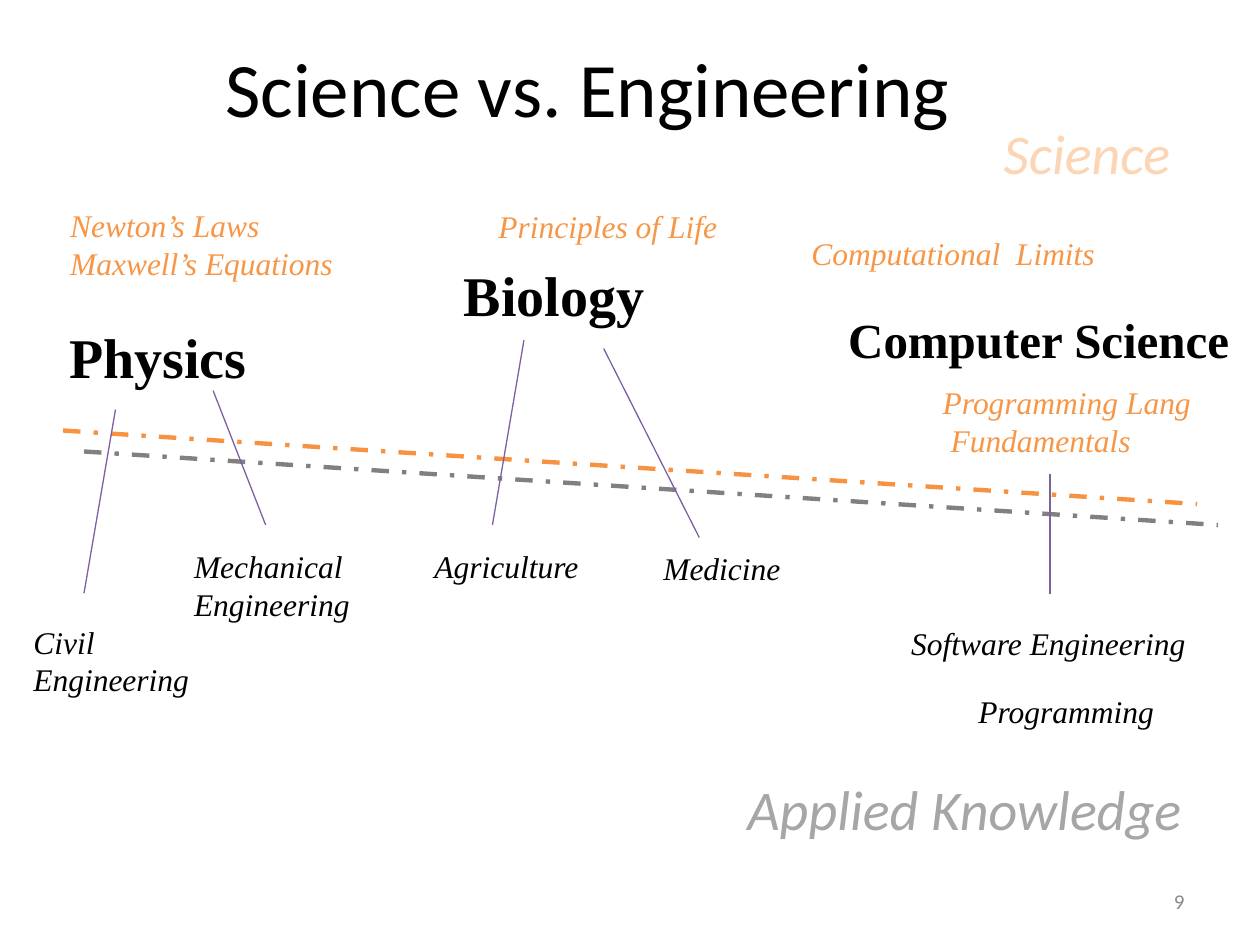
from typing import NamedTuple

import lxml.etree
import pptx
import pptx.dml.color
import pptx.enum.dml
import pptx.enum.shapes
import pptx.enum.text
import pptx.oxml.ns
import pptx.util

WIDTH = pptx.util.Inches(10)
HEIGHT = pptx.util.Inches(7.5)
COLUMNS, ROWS = 120, 90

COLORS = {
    "ink": "000000",
    "orange": "F79646",
    "pale_orange": "FCD5B5",
    "science_line": "F69240",
    "applied_line": "808080",
    "applied": "A6A6A6",
    "link": "7D60A0",
    "number": "898989",
}
ALIGN = pptx.enum.text.PP_ALIGN
ANCHOR = pptx.enum.text.MSO_ANCHOR
DASH = pptx.enum.dml.MSO_LINE.DASH_DOT


class Box(NamedTuple):
    column: float
    row: float
    columns: float
    rows: float


class Label(NamedTuple):
    text: str
    box: Box
    color: str = "ink"


class Field(NamedTuple):
    text: str
    box: Box
    size: int


class Line(NamedTuple):
    start: tuple[float, float]
    end: tuple[float, float]
    color: str = "link"
    width: float = 0.75
    dashed: bool = False


FIELDS = [
    Field("Physics", Box(5.4, 30.1, 19.4, 7.7), 32),
    Field("Biology", Box(43, 24.2, 19.8, 7.7), 32),
    Field("Computer Science", Box(79.6, 28.9, 39.1, 6.8), 28),
]
REALMS = [
    Label("Science", Box(94.4, 10.7, 19, 7.7), "pale_orange"),
    Label("Applied Knowledge", Box(70, 73.2, 63.1, 7.7), "applied"),
]
TOPICS = [
    Label("Newton’s Laws\nMaxwell’s Equations", Box(5.5, 19, 27.7, 8.5), "orange"),
    Label("Principles of Life", Box(46.3, 19.1, 24.2, 4.8), "orange"),
    Label("Computational  Limits", Box(76.1, 21.7, 29.6, 4.8), "orange"),
    Label("Programming Lang\n Fundamentals", Box(88.6, 35.9, 26.3, 8.5), "orange"),
    Label("Civil\nEngineering", Box(2, 58.7, 17.4, 8.5)),
    Label("Mechanical\nEngineering", Box(17.3, 51.5, 17.4, 8.5)),
    Label("Agriculture", Box(40.2, 51.5, 16.3, 4.8)),
    Label("Medicine", Box(62, 51.7, 13.7, 4.8)),
    Label("Software Engineering", Box(85.6, 58.8, 28.8, 4.8)),
    Label("Programming", Box(92, 65.3, 19.3, 4.8)),
]
DIVIDERS = [
    Line((6, 41), (114, 48), "science_line", 2.5, True),
    Line((8, 43), (116, 50), "applied_line", 2.5, True),
]
LINKS = [
    Line((11, 39), (8, 56.5)),
    Line((57.5, 33.2), (66.6, 51.2)),
    Line((20.3, 37.2), (25.3, 50)),
    Line((49.9, 32.4), (46.9, 50)),
    Line((100, 45.1), (100, 56.6)),
]


def across(columns: float) -> int:
    return round(WIDTH * columns / COLUMNS)


def down(rows: float) -> int:
    return round(HEIGHT * rows / ROWS)


def color_of(name: str) -> pptx.dml.color.RGBColor:
    return pptx.dml.color.RGBColor.from_string(COLORS[name])


def add_text(slide, text: str, box: Box, *, size: int = 18,
             font: str = "Times New Roman", color: str = "ink",
             bold: bool = False, italic: bool = False, wrap: bool = False,
             align=ALIGN.LEFT, anchor=ANCHOR.TOP) -> None:
    shape = slide.shapes.add_textbox(across(box.column), down(box.row),
                                     across(box.columns), down(box.rows))
    frame = shape.text_frame
    frame.word_wrap = wrap
    frame.vertical_anchor = anchor
    frame.text = text
    for paragraph in frame.paragraphs:
        paragraph.alignment = align
        for run in paragraph.runs:
            run.font.name = font
            run.font.size = pptx.util.Pt(size)
            run.font.bold = bold
            run.font.italic = italic
            run.font.color.rgb = color_of(color)


def add_line(slide, line: Line) -> None:
    connector = slide.shapes.add_connector(
        pptx.enum.shapes.MSO_CONNECTOR.STRAIGHT,
        across(line.start[0]), down(line.start[1]),
        across(line.end[0]), down(line.end[1]))
    connector.line.color.rgb = color_of(line.color)
    connector.line.width = pptx.util.Pt(line.width)
    if line.dashed:
        connector.line.dash_style = DASH
    lxml.etree.SubElement(connector._element.spPr,
                          pptx.oxml.ns.qn("a:effectLst"))


def main() -> None:
    presentation = pptx.Presentation()
    presentation.slide_width = WIDTH
    presentation.slide_height = HEIGHT
    slide = presentation.slides.add_slide(presentation.slide_layouts[6])

    add_text(slide, "Science vs. Engineering", Box(2, 0.8, 108, 15), size=44,
             font="Calibri", wrap=True, align=ALIGN.CENTER, anchor=ANCHOR.MIDDLE)
    add_text(slide, "9", Box(86, 83.4, 28, 4.8), size=12, font="Calibri",
             color="number", wrap=True, align=ALIGN.RIGHT, anchor=ANCHOR.MIDDLE)
    for field in FIELDS:
        add_text(slide, field.text, field.box, size=field.size, bold=True)
    for divider in DIVIDERS:
        add_line(slide, divider)
    for realm in REALMS:
        add_text(slide, realm.text, realm.box, size=32, font="Calibri",
                 color=realm.color, italic=True, wrap=True)
    for topic in TOPICS:
        add_text(slide, topic.text, topic.box, color=topic.color, italic=True)
    for link in LINKS:
        add_line(slide, link)

    presentation.save("out.pptx")


if __name__ == "__main__":
    main()
